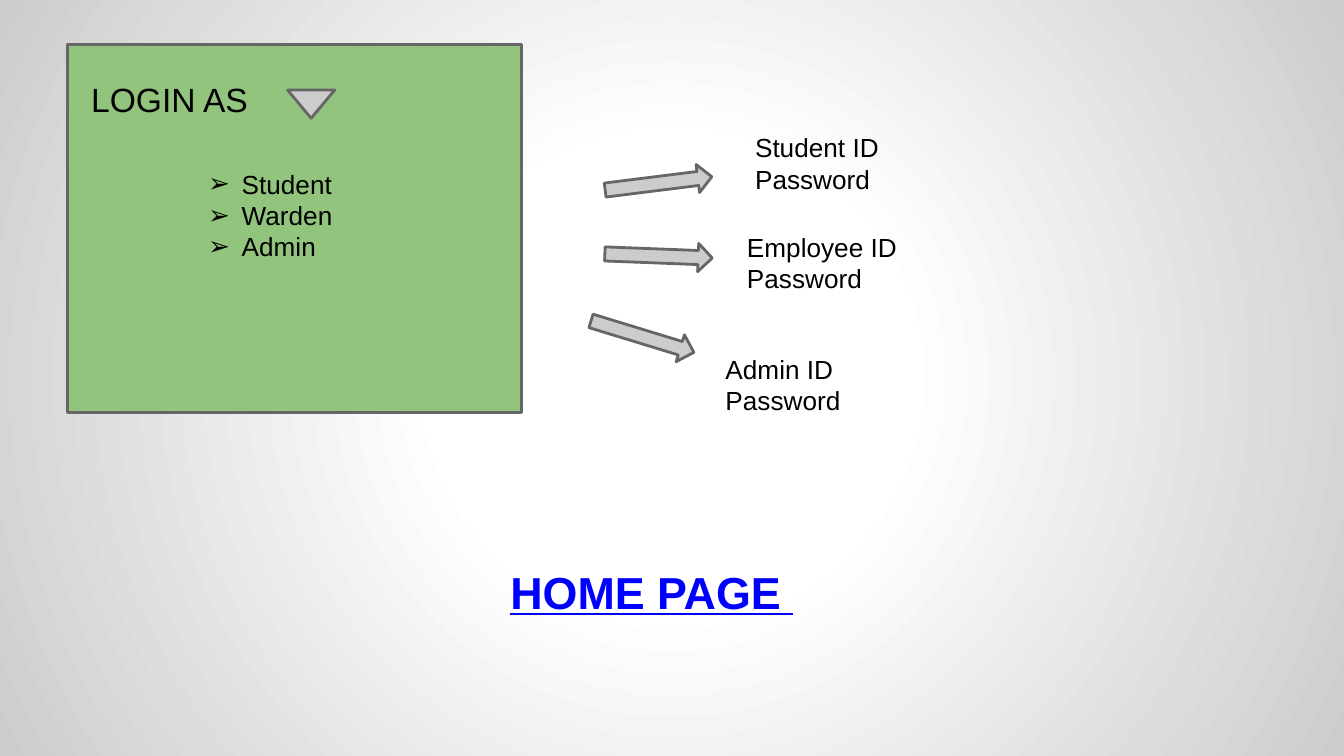
"""Build the login options slide."""
from typing import NamedTuple

from pptx import Presentation
from pptx.dml.color import RGBColor
from pptx.enum.shapes import MSO_SHAPE as Form
from pptx.enum.text import PP_ALIGN as Align
from pptx.oxml import parse_xml
from pptx.oxml.ns import nsdecls, qn
from pptx.util import Inches, Pt

BLACK = RGBColor(0x00, 0x00, 0x00)
BLUE = RGBColor(0x00, 0x00, 0xFF)
GREEN = RGBColor(0x93, 0xC4, 0x7D)
GRAY = RGBColor(0xCC, 0xCC, 0xCC)
DARK = RGBColor(0x66, 0x66, 0x66)
WHITE = RGBColor(0xFF, 0xFF, 0xFF)
STOPS = ((0, WHITE), (30, WHITE), (100, GRAY))
FACE = "Arial"


class Box(NamedTuple):
    left: float
    top: float
    width: float
    height: float


class Shape(NamedTuple):
    form: Form
    box: Box
    fill: RGBColor = GRAY
    turn: float = 0


class Label(NamedTuple):
    box: Box
    lines: tuple[str, ...]
    size: int = 14
    color: RGBColor = BLACK
    bullet: str = ""
    title: bool = False


SHAPES = (
    Shape(Form.RECTANGLE, Box(0.5, 0.33, 3.38, 2.74), GREEN),
    Shape(Form.FLOWCHART_MERGE, Box(2.14, 0.67, 0.35, 0.21)),
    Shape(Form.RIGHT_ARROW, Box(4.5, 1.26, 0.8, 0.21), turn=352.9),
    Shape(Form.RIGHT_ARROW, Box(4.5, 1.8, 0.8, 0.21), turn=2.2),
    Shape(Form.RIGHT_ARROW, Box(4.38, 2.4, 0.8, 0.21), turn=17),
)
LABELS = (
    Label(Box(0.35, 4.1, 9, 0.57), ("HOME PAGE ",), 24, BLUE, title=True),
    Label(Box(0.58, 0.49, 1.56, 0.57), ("LOGIN AS",), 18),
    Label(Box(1.2, 1.15, 2.24, 1.11), ("Student", "Warden", "Admin"), bullet="➢"),
    Label(Box(5.52, 0.88, 1.87, 0.57), ("Student ID", "Password")),
    Label(Box(5.46, 1.62, 1.87, 0.57), ("Employee ID", "Password")),
    Label(Box(5.3, 2.53, 1.87, 0.57), ("Admin ID", "Password")),
)


def paint_back(slide) -> None:
    slide.background.fill.gradient()
    old = next(slide.element.iter(qn("a:gradFill")))
    stops = "".join(
        f'<a:gs pos="{pos * 1000}"><a:srgbClr val="{color}"/></a:gs>'
        for pos, color in STOPS
    )
    new = parse_xml(
        f'<a:gradFill {nsdecls("a")}><a:gsLst>{stops}</a:gsLst><a:path path="circle">'
        '<a:fillToRect l="50000" t="50000" r="50000" b="50000"/></a:path></a:gradFill>'
    )
    old.getparent().replace(old, new)


def draw_shape(slide, item: Shape) -> None:
    shape = slide.shapes.add_shape(item.form, *map(Inches, item.box))
    shape.shadow.inherit = False
    shape.fill.solid()
    shape.fill.fore_color.rgb = item.fill
    shape.line.color.rgb = DARK
    shape.line.width = Pt(1.5)
    shape.rotation = item.turn


def add_bullet(para, mark: str) -> None:
    props = para._p.get_or_add_pPr()
    props.set("marL", str(Inches(0.5)))
    props.set("indent", str(Inches(-0.25)))
    props.append(parse_xml(f'<a:buFont {nsdecls("a")} typeface="{FACE}"/>'))
    props.append(parse_xml(f'<a:buChar {nsdecls("a")} char="{mark}"/>'))


def draw_label(slide, item: Label) -> None:
    frame = slide.shapes.add_textbox(*map(Inches, item.box)).text_frame
    frame.word_wrap = True
    frame.margin_left = frame.margin_right = Inches(0.1)
    frame.margin_top = frame.margin_bottom = Inches(0.1)
    frame.text = "\n".join(item.lines)
    for para in frame.paragraphs:
        if item.bullet:
            add_bullet(para, item.bullet)
        font = para.font
        font.name = FACE
        font.size = Pt(item.size)
        font.color.rgb = item.color
        if item.title:
            para.alignment = Align.CENTER
            font.bold = font.underline = True


def main() -> None:
    deck = Presentation()
    deck.slide_width = Inches(10)
    deck.slide_height = deck.slide_width * 9 // 16
    slide = deck.slides.add_slide(deck.slide_layouts[6])
    paint_back(slide)
    for item in SHAPES:
        draw_shape(slide, item)
    for item in LABELS:
        draw_label(slide, item)
    deck.save("out.pptx")


if __name__ == "__main__":
    main()
